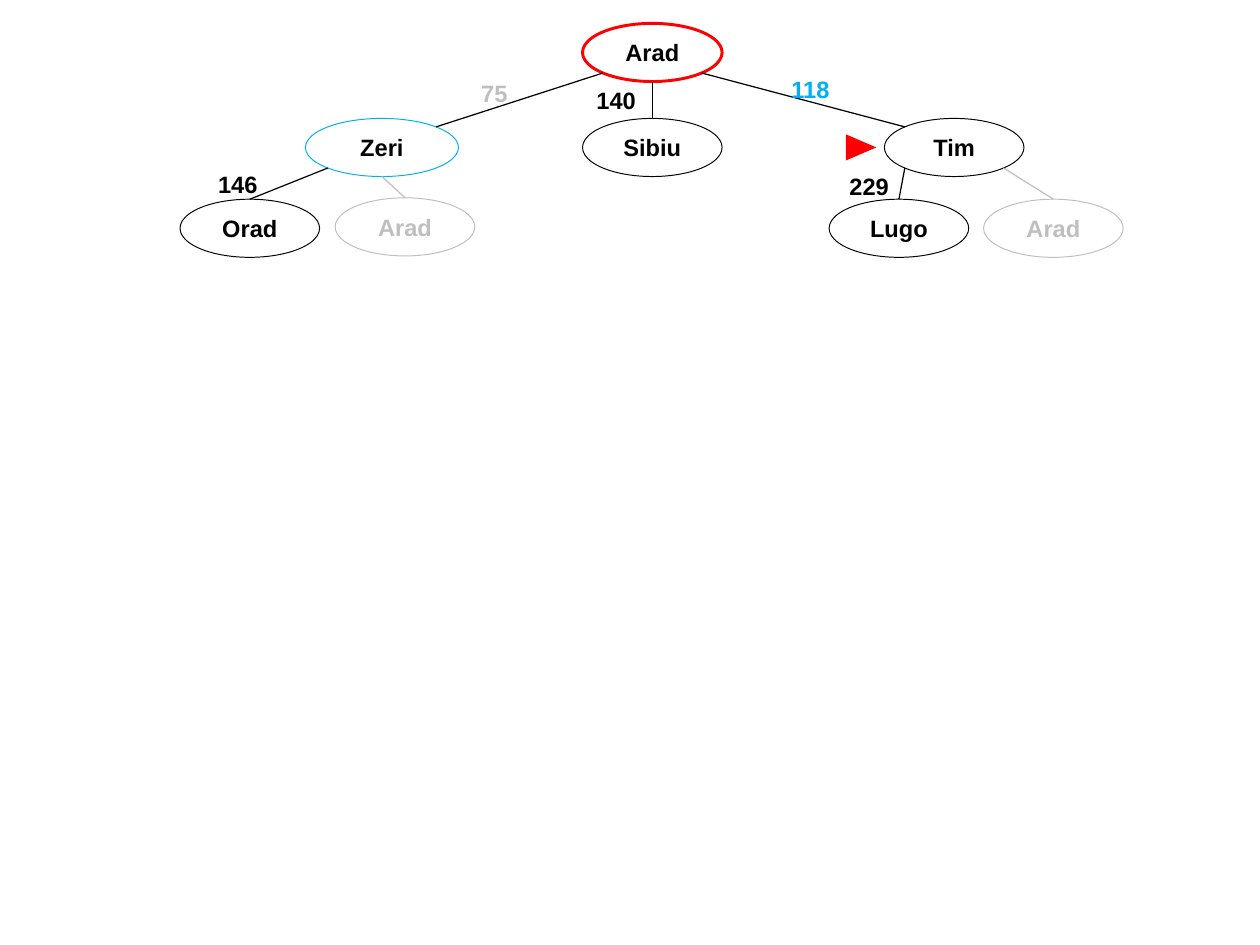
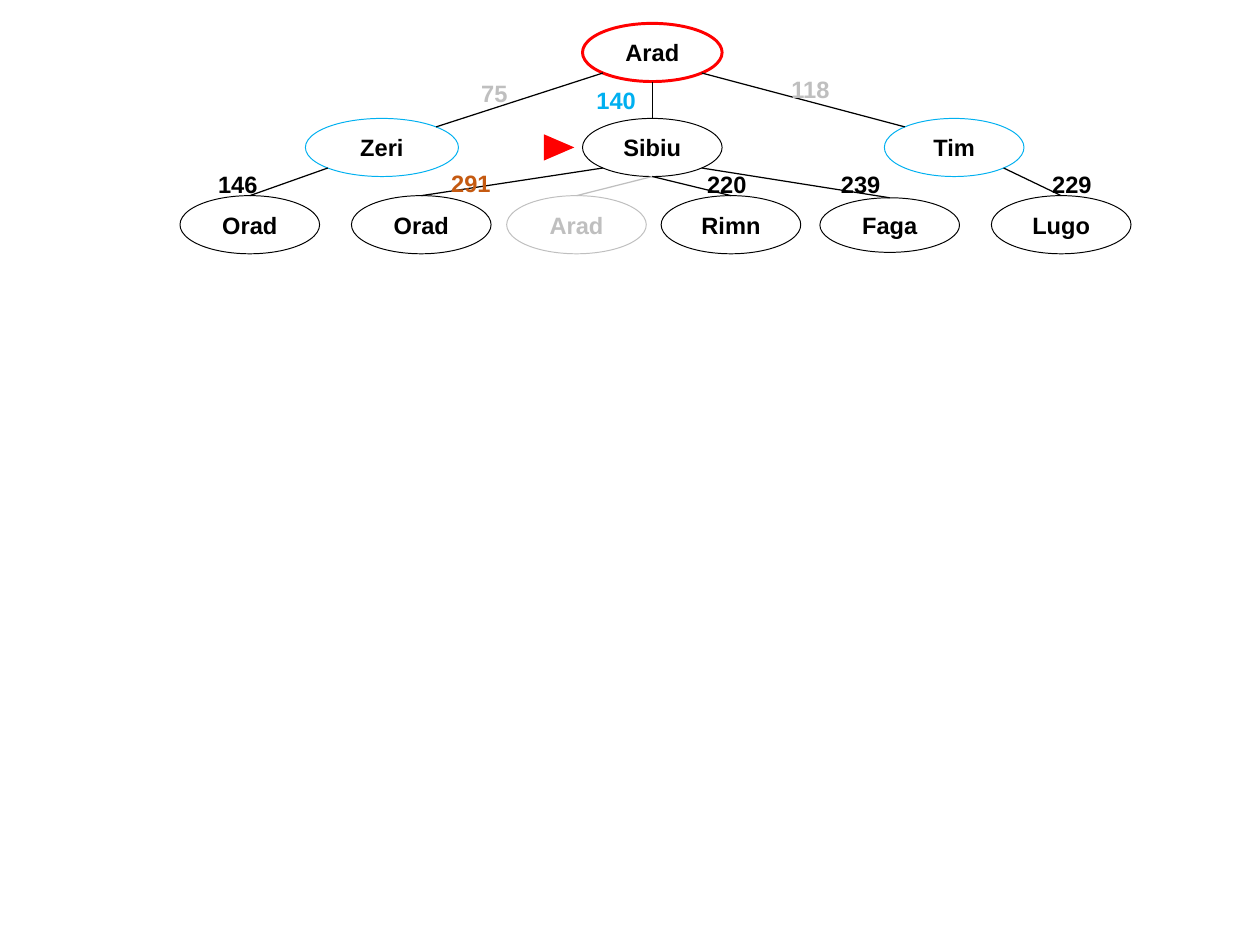
from math import sqrt

from lxml import etree
from pptx import Presentation
from pptx.dml.color import RGBColor
from pptx.enum.shapes import MSO_CONNECTOR, MSO_SHAPE
from pptx.enum.text import MSO_ANCHOR, MSO_AUTO_SIZE, PP_ALIGN
from pptx.oxml.ns import qn
from pptx.util import Inches, Pt

STRAIGHT = MSO_CONNECTOR.STRAIGHT
ELLIPSE, TRIANGLE = MSO_SHAPE.OVAL, MSO_SHAPE.ISOSCELES_TRIANGLE
CENTER, MIDDLE = PP_ALIGN.CENTER, MSO_ANCHOR.MIDDLE
GROW = MSO_AUTO_SIZE.SHAPE_TO_FIT_TEXT

BLACK = RGBColor(0x00, 0x00, 0x00)
RED = RGBColor(0xFF, 0x00, 0x00)
BLUE = RGBColor(0x00, 0xB0, 0xF0)
GRAY = RGBColor(0xBF, 0xBF, 0xBF)
ORANGE = RGBColor(0xC5, 0x5A, 0x11)

FONT, FONT_SIZE = "Arial", 24
NODE_WIDTH, NODE_HEIGHT = 1.97, 0.82
LABEL_WIDTH, LABEL_HEIGHT = 0.79, 0.5
MARKER_WIDTH, MARKER_HEIGHT, MARKER_OFFSET = 0.37, 0.43, 0.33

# Directions from a node's centre to the points where edges meet its outline
DIAGONAL = sqrt(0.5)
TOP, BOTTOM = (0, -1), (0, 1)
TOP_LEFT, TOP_RIGHT = (-DIAGONAL, -DIAGONAL), (DIAGONAL, -DIAGONAL)
BOTTOM_LEFT, BOTTOM_RIGHT = (-DIAGONAL, DIAGONAL), (DIAGONAL, DIAGONAL)

# Top of the tree, the same on each slide
ROOT = ("Arad", (8.22, 0.33, NODE_WIDTH, NODE_HEIGHT))
CITY_TOP = 1.67
# city, left, width, port on root, port on city, distance, label position
CITIES = [
    ("Zeri", 4.31, 2.16, BOTTOM_LEFT, TOP_RIGHT, "75", (6.58, 1.06)),
    ("Sibiu", 8.22, NODE_WIDTH, BOTTOM, TOP, "140", (8.3, 1.16)),
    ("Tim", 12.48, NODE_WIDTH, BOTTOM_RIGHT, TOP_LEFT, "118", (11.04, 1.01)),
]

# Steps of the search; a child is: parent, port on parent, name,
# (left, top, height), colour, then distance, label position, label colour
STEPS = [
    {
        "marked": "Tim",
        "outlines": {"Zeri": BLUE, "Sibiu": BLACK, "Tim": BLACK},
        "distances": {"Zeri": GRAY, "Sibiu": BLACK, "Tim": BLUE},
        "children": [
            ("Zeri", BOTTOM_LEFT, "Orad", (2.54, 2.81, NODE_HEIGHT), BLACK,
             "146", (2.96, 2.34), BLACK),
            ("Zeri", BOTTOM, "Arad", (4.73, 2.79, NODE_HEIGHT), GRAY),
            ("Tim", BOTTOM_LEFT, "Lugo", (11.7, 2.81, NODE_HEIGHT), BLACK,
             "229", (11.87, 2.37), BLACK),
            ("Tim", BOTTOM_RIGHT, "Arad", (13.88, 2.81, NODE_HEIGHT), GRAY),
        ],
    },
    {
        "marked": "Sibiu",
        "outlines": {"Zeri": BLUE, "Sibiu": BLACK, "Tim": BLUE},
        "distances": {"Zeri": GRAY, "Sibiu": BLUE, "Tim": GRAY},
        "children": [
            ("Zeri", BOTTOM_LEFT, "Orad", (2.54, 2.76, NODE_HEIGHT), BLACK,
             "146", (2.96, 2.34), BLACK),
            ("Sibiu", BOTTOM_LEFT, "Orad", (4.96, 2.76, NODE_HEIGHT), BLACK,
             "291", (6.25, 2.33), ORANGE),
            ("Sibiu", BOTTOM, "Arad", (7.15, 2.76, NODE_HEIGHT), GRAY),
            ("Sibiu", BOTTOM, "Rimn", (9.33, 2.76, NODE_HEIGHT), BLACK,
             "220", (9.86, 2.34), BLACK),
            ("Sibiu", BOTTOM_RIGHT, "Faga", (11.57, 2.79, 0.77), BLACK,
             "239", (11.75, 2.34), BLACK),
            ("Tim", BOTTOM_RIGHT, "Lugo", (13.99, 2.76, NODE_HEIGHT), BLACK,
             "229", (14.73, 2.34), BLACK),
        ],
    },
]


def inches(values):
    return [Inches(value) for value in values]


def write_text(frame, text, color):
    frame.word_wrap = True
    paragraph = frame.paragraphs[0]
    paragraph.alignment = CENTER
    run = paragraph.add_run()
    run.text = text
    run.font.name = FONT
    run.font.size = Pt(FONT_SIZE)
    run.font.bold = True
    run.font.color.rgb = color


def add_node(slide, name, box, outline, line_width=1):
    shape = slide.shapes.add_shape(ELLIPSE, *inches(box))
    shape.shadow.inherit = False
    shape.fill.background()
    shape.line.color.rgb = outline
    shape.line.width = Pt(line_width)
    frame = shape.text_frame
    frame.margin_left = frame.margin_right = Inches(0.18)
    frame.margin_top = frame.margin_bottom = Inches(0.09)
    frame.vertical_anchor = MIDDLE
    write_text(frame, name, GRAY if outline == GRAY else BLACK)


def port_position(box, port):
    left, top, width, height = box
    return left + width / 2 * (1 + port[0]), top + height / 2 * (1 + port[1])


def add_edge(slide, parent_box, parent_port, child_box, child_port, color):
    start = port_position(parent_box, parent_port)
    end = port_position(child_box, child_port)
    connector = slide.shapes.add_connector(STRAIGHT, *inches(start + end))
    connector.line.color.rgb = color
    connector.line.width = Pt(1.25)
    etree.SubElement(connector._element.spPr, qn("a:effectLst"))


def add_distance(slide, text, position, color):
    box = position + (LABEL_WIDTH, LABEL_HEIGHT)
    frame = slide.shapes.add_textbox(*inches(box)).text_frame
    frame.auto_size = GROW
    write_text(frame, text, color)


def add_marker(slide, city_box):
    left, top, _, height = city_box
    box = (left - MARKER_OFFSET - MARKER_WIDTH / 2,
           top + (height - MARKER_HEIGHT) / 2, MARKER_WIDTH, MARKER_HEIGHT)
    marker = slide.shapes.add_shape(TRIANGLE, *inches(box))
    marker.rotation = 90
    marker.shadow.inherit = False
    marker.fill.solid()
    marker.fill.fore_color.rgb = RED
    marker.line.fill.background()


def add_step(presentation, step):
    slide = presentation.slides.add_slide(presentation.slide_layouts[6])
    root_name, root_box = ROOT
    add_node(slide, root_name, root_box, RED, 3)

    # Cities next to the root
    city_boxes = {}
    for name, left, width, root_port, city_port, distance, position in CITIES:
        box = city_boxes[name] = (left, CITY_TOP, width, NODE_HEIGHT)
        add_node(slide, name, box, step["outlines"][name])
        add_edge(slide, root_box, root_port, box, city_port, BLACK)
        add_distance(slide, distance, position, step["distances"][name])

    # Cities reached from them
    for parent, port, name, (left, top, height), color, *label in step["children"]:
        box = (left, top, NODE_WIDTH, height)
        add_node(slide, name, box, color)
        add_edge(slide, city_boxes[parent], port, box, TOP, color)
        if label:
            add_distance(slide, *label)

    add_marker(slide, city_boxes[step["marked"]])


def main():
    presentation = Presentation()
    presentation.slide_width = Inches(17.78)
    presentation.slide_height = Inches(13.33)
    for step in STEPS:
        add_step(presentation, step)
    presentation.save("out.pptx")


if __name__ == "__main__":
    main()
